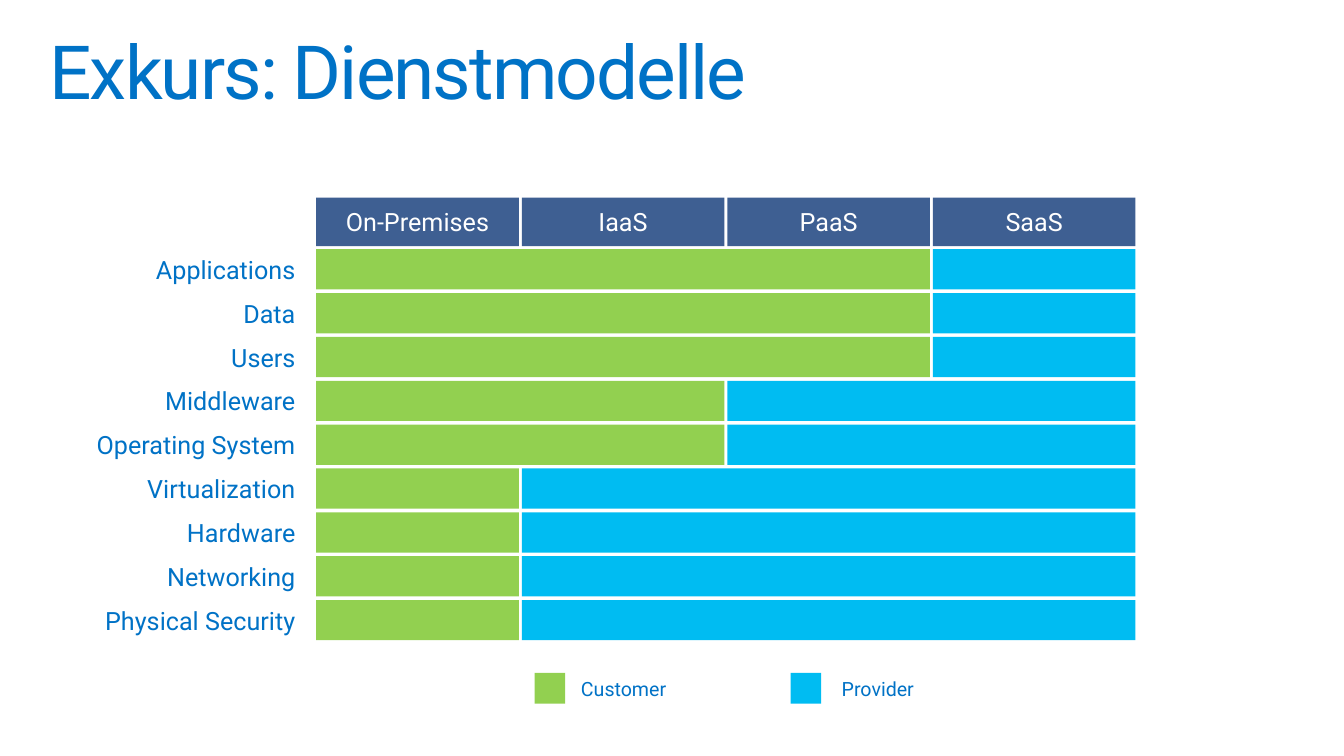
from pptx import Presentation, util as u
from pptx.dml.color import RGBColor
from pptx.enum import shapes, text
from pptx.oxml import ns
from lxml import etree

Pt = u.Pt
BLUE = RGBColor(0x00, 0x72, 0xC6)
NAVY = RGBColor(0x1D, 0x43, 0x80)
GREEN = RGBColor(0x92, 0xD0, 0x50)
CYAN = RGBColor(0x00, 0xBC, 0xF2)
WHITE = RGBColor(0xFF, 0xFF, 0xFF)

# Matrix geometry in points
LEFT, COLUMN_WIDTH, COLUMN_PITCH = 230.4, 147.6, 149.76
HEADER_TOP, HEADER_HEIGHT = 144, 35.3
ROWS_TOP, ROW_HEIGHT, ROW_PITCH = 181.6, 29.3, 31.95

MODELS = ["On-Premises", "IaaS", "PaaS", "SaaS"]
# Layer and the number of models in which the customer runs it
LAYERS = [
    ("Applications", 3), ("Data", 3), ("Users", 3),
    ("Middleware", 2), ("Operating System", 2),
    ("Virtualization", 1), ("Hardware", 1), ("Networking", 1),
    ("Physical Security", 1),
]
# Party, colour, swatch left, label left, label width
LEGEND = [("Customer", GREEN, 389.5, 416.2, 77.8),
          ("Provider", CYAN, 576, 606.2, 69.1)]


class Painter:
    font = "Roboto"

    def __init__(self, slide):
        self.slide = slide

    def bar(self, left, top, width, height, color, opacity=100):
        bar = self.slide.shapes.add_shape(
            shapes.MSO_SHAPE.RECTANGLE, Pt(left), Pt(top), Pt(width), Pt(height))
        bar.shadow.inherit = False
        bar.fill.solid()
        bar.fill.fore_color.rgb = color
        bar.line.fill.background()
        if opacity < 100:
            paint = bar._element.spPr.find(".//" + ns.qn("a:srgbClr"))
            etree.SubElement(paint, ns.qn("a:alpha"), val=str(opacity * 1000))
        return bar

    def label(self, words, left, top, width, height, **style):
        box = self.slide.shapes.add_textbox(Pt(left), Pt(top), Pt(width), Pt(height))
        return self.caption(box, words, **style)

    def caption(self, holder, words, size=18.3, color=BLUE, inset=(7.2, 3.6),
                align=text.PP_ALIGN.LEFT, anchor=text.MSO_ANCHOR.MIDDLE, wrap=True):
        frame = holder.text_frame
        frame.word_wrap = wrap
        frame.vertical_anchor = anchor
        frame.margin_left = frame.margin_right = Pt(inset[0])
        frame.margin_top = frame.margin_bottom = Pt(inset[1])
        paragraph = frame.paragraphs[0]
        paragraph.alignment = align
        run = paragraph.add_run()
        run.text = words
        run.font.name = self.font
        run.font.size = Pt(size)
        run.font.color.rgb = color
        return paragraph


def column_left(index):
    return LEFT + index * COLUMN_PITCH


def span_width(columns):
    return COLUMN_WIDTH + (columns - 1) * COLUMN_PITCH


def main():
    deck = Presentation()
    deck.slide_width, deck.slide_height = Pt(979.2), Pt(550.8)
    painter = Painter(deck.slides.add_slide(deck.slide_layouts[6]))

    # Title with tightened letter spacing
    title = painter.label("Exkurs: Dienstmodelle", 24.5, 18, 930.2, 69.1, size=54.4,
                          inset=(11.5, 7.2), anchor=text.MSO_ANCHOR.TOP)
    title.line_spacing = 0.9
    title.runs[0]._r.get_or_add_rPr().set("spc", "-140")

    # Service model headers
    for column, model in enumerate(MODELS):
        header = painter.bar(column_left(column), HEADER_TOP, COLUMN_WIDTH,
                             HEADER_HEIGHT, NAVY, opacity=85)
        painter.caption(header, model, color=WHITE, inset=(14.4, 0),
                        align=text.PP_ALIGN.CENTER)

    # Layers, split between customer and provider
    for row, (layer, owned) in enumerate(LAYERS):
        top = ROWS_TOP + row * ROW_PITCH
        painter.label(layer, 68.4, top, 146.9, ROW_HEIGHT, inset=(0, 3.6),
                      align=text.PP_ALIGN.RIGHT)
        painter.bar(LEFT, top, span_width(owned), ROW_HEIGHT, GREEN)
        painter.bar(column_left(owned), top, span_width(len(MODELS) - owned),
                    ROW_HEIGHT, CYAN)

    # Legend
    for party, color, swatch_left, label_left, label_width in LEGEND:
        painter.bar(swatch_left, 490.3, 22.3, 22.3, color)
        painter.label(party, label_left, 489.6, label_width, 25.2, size=14.3,
                      anchor=text.MSO_ANCHOR.TOP, wrap=False)

    deck.save("out.pptx")


if __name__ == "__main__":
    main()
